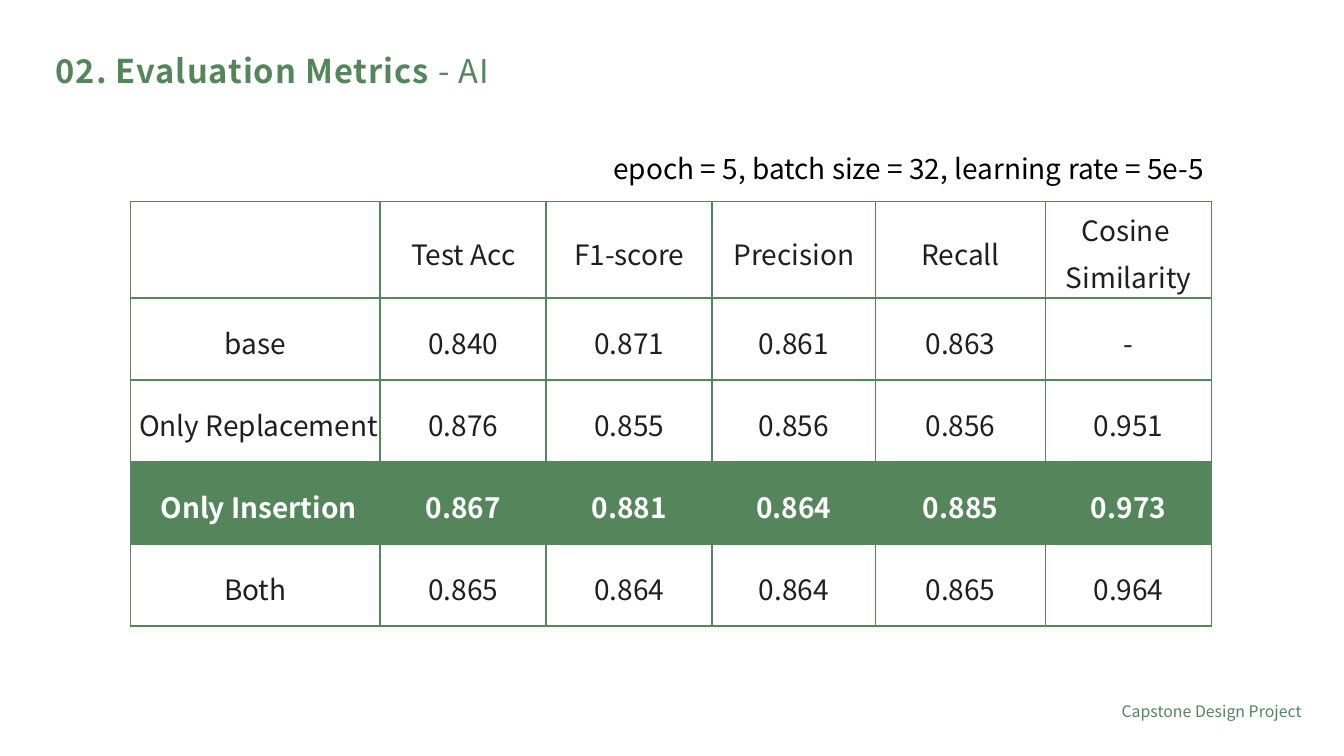
from dataclasses import dataclass

from lxml.etree import SubElement as Sub
from pptx import Presentation
from pptx.dml.color import RGBColor as Rgb
from pptx.enum.text import MSO_ANCHOR as Anchor, PP_ALIGN as Align
from pptx.oxml.ns import qn
from pptx.util import Inches, Pt


@dataclass(frozen=True)
class Theme:
    font: str = "Noto Sans CJK KR"
    green: str = "55855B"
    ink: str = "1F1F1F"
    black: str = "000000"
    white: str = "FFFFFF"
    title: int = 35
    body: int = 30
    small: int = 17
    rule: float = 2.13
    lead: float = 1.16


class Deck:
    def __init__(self, theme):
        self.theme = theme
        self.prs = Presentation()
        self.prs.slide_width = Inches(20)
        self.prs.slide_height = Inches(11.25)
        self.slide = self.prs.slides.add_slide(self.prs.slide_layouts[5])

    def style(self, run, size, color, bold=False):
        font = run.font
        font.name, font.size, font.bold = self.theme.font, Pt(size), bold
        font.color.rgb = Rgb.from_string(color)

    def lines(self, frame, text, size, color, align, lead, bold=False):
        frame.text = text
        for para in frame.paragraphs:
            para.alignment, para.line_spacing = align, lead
            for run in para.runs:
                self.style(run, size, color, bold)

    def frame(self, shape):
        frame = shape.text_frame
        frame.word_wrap = True
        frame.margin_left = frame.margin_right = 0
        frame.margin_top = frame.margin_bottom = 0
        return frame

    def title(self, box, head, tail):
        shape = self.slide.shapes.title
        shape.left, shape.top, shape.width, shape.height = map(Inches, box)
        frame = self.frame(shape)
        frame.vertical_anchor = Anchor.MIDDLE
        para = frame.paragraphs[0]
        para.alignment, para.line_spacing = Align.LEFT, 1.0
        for text, bold in ((head, True), (tail, False)):
            run = para.add_run()
            run.text = text
            self.style(run, self.theme.title, self.theme.green, bold)
            run.font._element.set("spc", "100")

    def label(self, box, text, size, color, lead=1.0):
        shape = self.slide.shapes.add_textbox(*map(Inches, box))
        self.lines(self.frame(shape), text, size, color, Align.RIGHT, lead)

    def border(self, cell):
        props = cell._tc.get_or_add_tcPr()
        for side in ("lnL", "lnR", "lnT", "lnB"):
            line = Sub(props, qn(f"a:{side}"), w=str(Pt(self.theme.rule)))
            fill = Sub(line, qn("a:solidFill"))
            Sub(fill, qn("a:srgbClr"), val=self.theme.green)

    def cell(self, cell, text, fill, color, bold):
        cell.margin_left = cell.margin_right = Inches(0.02)
        cell.margin_top = cell.margin_bottom = Inches(0.02)
        cell.vertical_anchor = Anchor.MIDDLE
        self.border(cell)
        cell.fill.solid()
        cell.fill.fore_color.rgb = Rgb.from_string(fill)
        self.lines(cell.text_frame, text, self.theme.body, color,
                   Align.CENTER, self.theme.lead, bold)

    def table(self, left, top, widths, height, rows, best):
        theme = self.theme
        box = (left, top, sum(widths), height * len(rows))
        table = self.slide.shapes.add_table(
            len(rows), len(widths), *map(Inches, box)).table
        table.first_row = table.horz_banding = False
        for col, width in zip(table.columns, widths):
            col.width = Inches(width)
        for r, row in enumerate(rows):
            table.rows[r].height = Inches(height)
            top_row = r == best
            fill, color = ((theme.green, theme.white) if top_row
                           else (theme.white, theme.ink))
            for c, text in enumerate(row):
                self.cell(table.cell(r, c), text, fill, color, top_row)


def main():
    theme = Theme()
    deck = Deck(theme)

    # Scores per augmentation method, best row filled
    scores = [
        ("", "Test Acc", "F1-score", "Precision", "Recall",
         "Cosine \nSimilarity"),
        ("base", "0.840", "0.871", "0.861", "0.863", "-"),
        (" Only Replacement", "0.876", "0.855", "0.856", "0.856", "0.951"),
        (" Only Insertion", "0.867", "0.881", "0.864", "0.885", "0.973"),
        ("Both", "0.865", "0.864", "0.864", "0.865", "0.964"),
    ]
    widths = (3.72, 2.47, 2.47, 2.43, 2.53, 2.47)
    deck.table(1.94, 3, widths, 1.22, scores, best=3)

    # Footer
    deck.label((15.29, 10.44, 4.08, 0.33), "Capstone Design Project",
               theme.small, theme.green)

    # Title
    deck.title((0.83, 0.72, 9.22, 0.67), "02. Evaluation Metrics", " - AI")

    # Training settings
    deck.label((8.11, 2.18, 9.9, 0.58),
               "epoch = 5, batch size = 32, learning rate = 5e-5 ",
               theme.body, theme.black, theme.lead)

    deck.prs.save("out.pptx")


if __name__ == "__main__":
    main()
